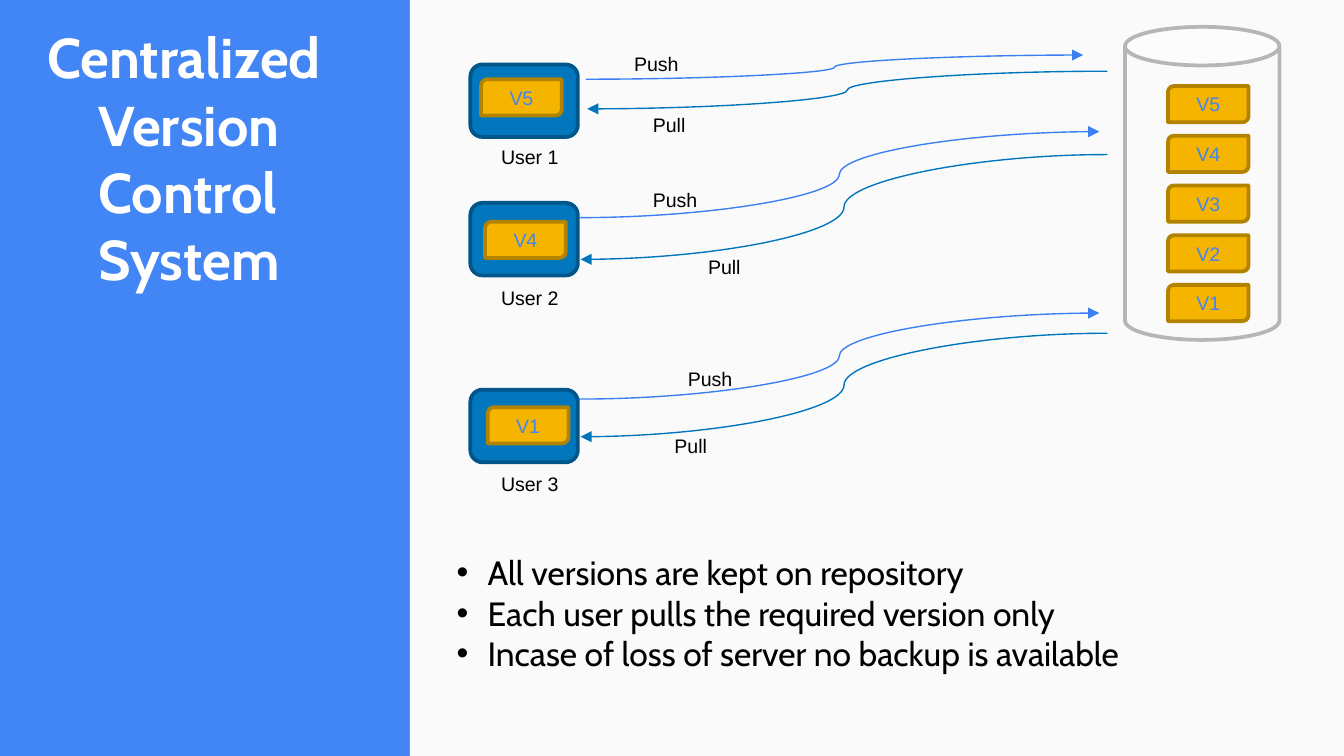
from dataclasses import dataclass
from typing import NamedTuple

from lxml.etree import SubElement
from pptx import Presentation
from pptx.dml.color import RGBColor
from pptx.enum.shapes import MSO_CONNECTOR, MSO_SHAPE
from pptx.enum.text import MSO_ANCHOR, MSO_AUTO_SIZE, PP_ALIGN
from pptx.oxml.ns import qn
from pptx.util import Inches, Pt


@dataclass(frozen=True)
class Theme:
    blue: str = "4285F4"
    paper: str = "FAFAFA"
    white: str = "FFFFFF"
    black: str = "000000"
    gray: str = "B6B6B6"
    gold: str = "F4B400"
    gold_edge: str = "B28300"
    user: str = "0277BD"
    user_edge: str = "015689"
    push: str = "3B7FF2"
    pull: str = "0075BC"
    head: str = "Cabin"
    body: str = "Arial"
    title: float = 30
    list: float = 18
    label: float = 10.5
    edge: float = 2
    wire: float = 0.75


class Flow(NamedTuple):
    text: str
    color: str
    start: tuple[float, float]
    end: tuple[float, float]
    label: tuple[float, float]


class User(NamedTuple):
    name: str
    version: str
    top: float
    chip: tuple[float, float]
    name_top: float
    flows: tuple[Flow, ...]


T = Theme()
WIDTH = 10
HEIGHT = WIDTH * 9 / 16
CHIP = (0.6, 0.27)

USERS = (
    User("User 1", "V5", 0.48, (3.58, 0.59), 1.03, (
        Flow("Push", T.push, (4.36, 0.59), (8.06, 0.41), (4.62, 0.34)),
        Flow("Pull", T.pull, (8.24, 0.53), (4.37, 0.81), (4.76, 0.79)))),
    User("User 2", "V4", 1.51, (3.61, 1.65), 2.08, (
        Flow("Push", T.push, (4.31, 1.62), (8.18, 0.98), (4.76, 1.35)),
        Flow("Pull", T.pull, (8.24, 1.15), (4.32, 1.93), (5.17, 1.85)))),
    User("User 3", "V1", 2.9, (3.63, 3.03), 3.46, (
        Flow("Push", T.push, (4.31, 2.97), (8.18, 2.33), (5.02, 2.68)),
        Flow("Pull", T.pull, (8.24, 2.48), (4.32, 3.25), (4.92, 3.18)))),
)
TITLE = ("Centralized", "Version", "Control", "System")
POINTS = (
    "All versions are kept on repository",
    "Each user pulls the required version only",
    "Incase of loss of server no backup is available",
)


def rgb(color: str) -> RGBColor:
    return RGBColor.from_string(color)


def add_run(para, text: str, size: float, font: str, color: str, bold: bool = False) -> None:
    run = para.add_run()
    run.text = text
    run.font.size, run.font.name, run.font.bold = Pt(size), font, bold
    run.font.color.rgb = rgb(color)


def next_para(frame, row: int):
    return frame.add_paragraph() if row else frame.paragraphs[0]


def indent(para, left: float, first: float = 0):
    props = para._p.get_or_add_pPr()
    props.set("marL", str(Inches(left)))
    props.set("indent", str(Inches(first)))
    return props


def add_box(slide, kind, left: float, top: float, width: float, height: float,
            fill: str, edge: str | None = None):
    shape = slide.shapes.add_shape(
        kind, Inches(left), Inches(top), Inches(width), Inches(height))
    shape.shadow.inherit = False
    shape.fill.solid()
    shape.fill.fore_color.rgb = rgb(fill)
    if edge:
        shape.line.color.rgb = rgb(edge)
        shape.line.width = Pt(T.edge)
    else:
        shape.line.fill.background()
    return shape


def add_chip(slide, text: str, left: float, top: float) -> None:
    chip = add_box(slide, MSO_SHAPE.ROUND_2_DIAG_RECTANGLE, left, top, *CHIP,
                   T.gold, T.gold_edge)
    frame = chip.text_frame
    frame.vertical_anchor = MSO_ANCHOR.MIDDLE
    para = frame.paragraphs[0]
    para.alignment = PP_ALIGN.CENTER
    add_run(para, text, T.label, T.body, T.blue)


def add_text(slide, left: float, top: float, width: float, height: float):
    frame = slide.shapes.add_textbox(
        Inches(left), Inches(top), Inches(width), Inches(height)).text_frame
    frame.word_wrap = True
    return frame


def add_label(slide, text: str, left: float, top: float) -> None:
    frame = add_text(slide, left, top, 0.81, 0.21)
    add_run(frame.paragraphs[0], text, T.label, T.body, T.black)


def add_flow(slide, flow: Flow) -> None:
    wire = slide.shapes.add_connector(
        MSO_CONNECTOR.CURVE, *map(Inches, flow.start + flow.end))
    wire.line.color.rgb = rgb(flow.color)
    wire.line.width = Pt(T.wire)
    SubElement(wire.line._get_or_add_ln(), qn("a:tailEnd"), type="triangle")
    SubElement(wire._element.spPr, qn("a:effectLst"))
    add_label(slide, flow.text, *flow.label)


def add_user(slide, user: User) -> None:
    add_box(slide, MSO_SHAPE.ROUNDED_RECTANGLE, 3.5, user.top, 0.8, 0.54,
            T.user, T.user_edge)
    for flow in user.flows:
        add_flow(slide, flow)
    add_chip(slide, user.version, *user.chip)
    add_label(slide, user.name, 3.63, user.name_top)


def set_title(slide) -> None:
    title = slide.shapes.title
    title.left, title.top = Inches(0.25), Inches(0.12)
    title.width, title.height = Inches(3.57), Inches(2.12)
    frame = title.text_frame
    frame.auto_size = MSO_AUTO_SIZE.NONE
    frame.vertical_anchor = MSO_ANCHOR.TOP
    for row, text in enumerate(TITLE):
        para = next_para(frame, row)
        para.alignment = PP_ALIGN.LEFT
        indent(para, 0.38 if row else 0)
        add_run(para, text, T.title, T.head, T.white, True)


def add_points(slide) -> None:
    frame = add_text(slide, 3.3, 4.06, 6.53, 1.3)
    for row, text in enumerate(POINTS):
        para = next_para(frame, row)
        props = indent(para, 0.23, -0.23)
        SubElement(props, qn("a:buFont"), typeface=T.body)
        SubElement(props, qn("a:buChar"), char="•")
        add_run(para, text, T.list, T.head, T.black)


def main() -> None:
    deck = Presentation()
    deck.slide_width, deck.slide_height = Inches(WIDTH), Inches(HEIGHT)
    slide = deck.slides.add_slide(deck.slide_layouts[5])

    # Background and content panel
    slide.background.fill.solid()
    slide.background.fill.fore_color.rgb = rgb(T.blue)
    add_box(slide, MSO_SHAPE.RECTANGLE, 3.05, 0, WIDTH - 3.05, HEIGHT, T.paper)
    set_title(slide)

    # Repository with its versions, newest on top
    add_box(slide, MSO_SHAPE.CAN, 8.37, 0.2, 1.15, 2.33, T.paper, T.gray)
    for row in range(5):
        add_chip(slide, f"V{5 - row}", 8.69, 0.64 + 0.37 * row)

    # Users with their push and pull flows
    for user in USERS:
        add_user(slide, user)

    # Key points
    add_points(slide)
    deck.save("out.pptx")


if __name__ == "__main__":
    main()
